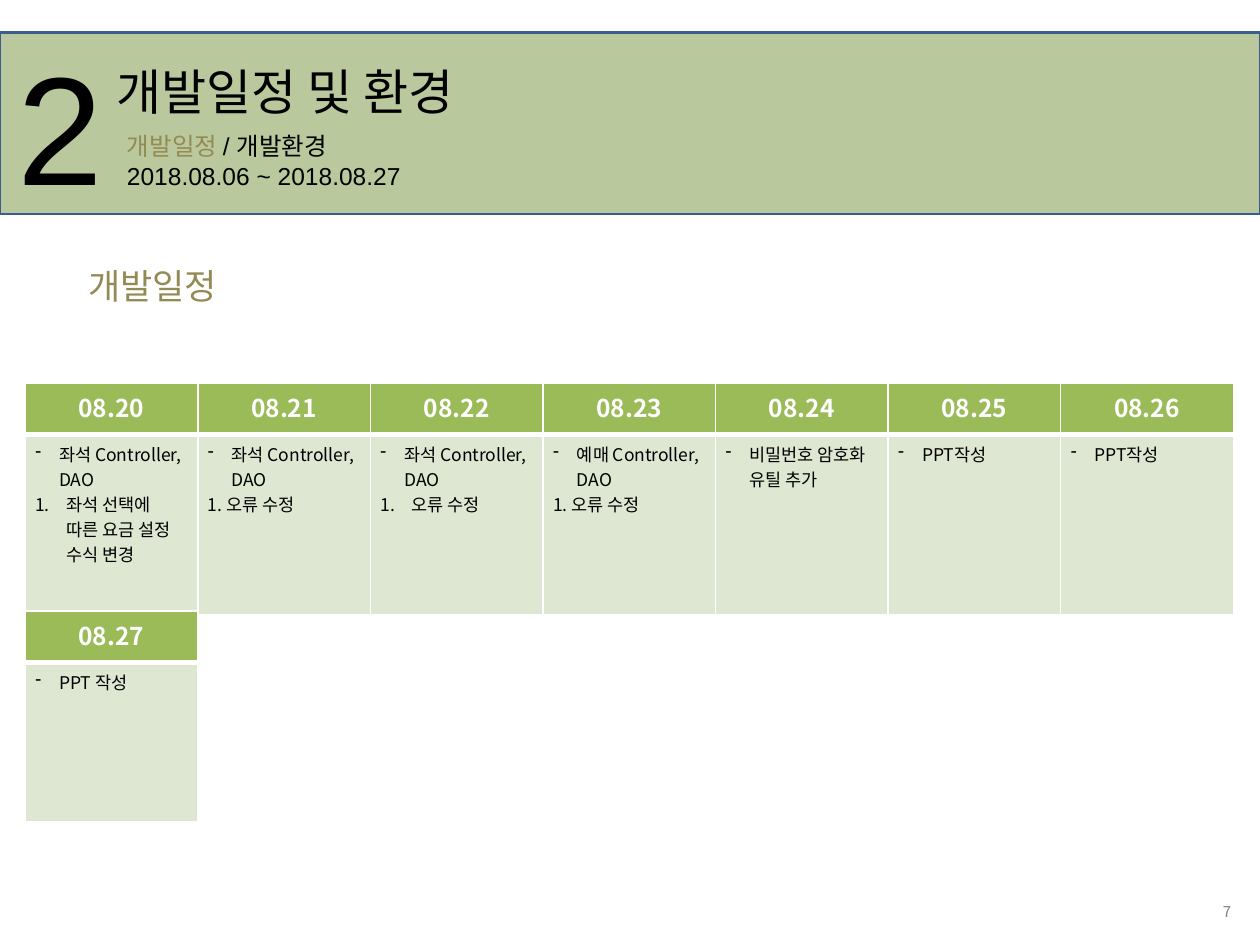
import dataclasses
import typing

import lxml.etree
import pptx
import pptx.dml.color
import pptx.enum.shapes
import pptx.enum.text
import pptx.oxml.ns
import pptx.util

Inches = pptx.util.Inches
Pt = pptx.util.Pt
Align = pptx.enum.text.PP_ALIGN
Anchor = pptx.enum.text.MSO_ANCHOR
qn = pptx.oxml.ns.qn

SANS = "Noto Sans CJK KR"
BLACK, WHITE, OLIVE = "000000", "FFFFFF", "948A54"
COL, HEAD = 1.37, 0.41


@dataclasses.dataclass
class Label:
    box: tuple[float, float, float, float]
    lines: list[list[tuple[str, str]]]
    size: float
    font: str = "Arial"
    align: typing.Any = Align.LEFT
    anchor: typing.Any = Anchor.TOP
    pitch: float | None = None
    fill: str | None = None
    wrap: bool = True


@dataclasses.dataclass
class Item:
    text: str
    mark: str = "-"


@dataclasses.dataclass
class Day:
    date: str
    items: list[Item]


@dataclasses.dataclass
class Plan:
    top: float
    body: float
    days: list[Day]


def color(code: str) -> pptx.dml.color.RGBColor:
    return pptx.dml.color.RGBColor.from_string(code)


def paint(shape: typing.Any, code: str) -> None:
    shape.fill.solid()
    shape.fill.fore_color.rgb = color(code)


def style(run: typing.Any, size: float, face: str, code: str, bold: bool = False) -> None:
    run.font.size = Pt(size)
    run.font.name = face
    run.font.bold = bold
    run.font.color.rgb = color(code)
    lxml.etree.SubElement(run.font._element, qn("a:ea"), typeface=SANS)


def write(slide: typing.Any, label: Label) -> None:
    box = slide.shapes.add_textbox(*map(Inches, label.box))
    if label.fill:
        paint(box, label.fill)
    frame = box.text_frame
    frame.word_wrap = label.wrap
    frame.vertical_anchor = label.anchor
    frame.text = "\n".join("" for _ in label.lines)
    for para, parts in zip(frame.paragraphs, label.lines):
        para.alignment = label.align
        if label.pitch:
            para.line_spacing = Pt(label.pitch)
        for text, code in parts:
            run = para.add_run()
            run.text = text
            style(run, label.size, label.font, code)


def band(slide: typing.Any) -> None:
    bar = slide.shapes.add_shape(
        pptx.enum.shapes.MSO_SHAPE.RECTANGLE, 0, Inches(0.26), Inches(10), Inches(1.44)
    )
    bar.shadow.inherit = False
    paint(bar, "77933C")
    tone = bar._element.spPr.find(qn("a:solidFill"))[0]
    lxml.etree.SubElement(tone, qn("a:alpha"), val="50000")
    bar.line.color.rgb = color("3A5F8C")
    bar.line.width = Pt(1.5)


def edge(cell: typing.Any, top: float, base: float) -> None:
    props = cell._tc.get_or_add_tcPr()
    for spot, (side, width) in enumerate(dict(L=1, R=1, T=top, B=base).items()):
        line = lxml.etree.Element(qn(f"a:ln{side}"), w=str(Pt(width)))
        fill = lxml.etree.SubElement(line, qn("a:solidFill"))
        lxml.etree.SubElement(fill, qn("a:srgbClr"), val=WHITE)
        props.insert(spot, line)


def bullet(para: typing.Any, mark: str) -> None:
    props = para._p.get_or_add_pPr()
    indent = Inches(0.19 if mark == "-" else 0.25)
    props.set("marL", str(indent))
    props.set("indent", str(-indent))
    if mark == "-":
        lxml.etree.SubElement(props, qn("a:buChar"), char=mark)
    else:
        lxml.etree.SubElement(props, qn("a:buAutoNum"), type="arabicPeriod")


def fill_day(head: typing.Any, body: typing.Any, day: Day) -> None:
    paint(head, "9BBB59")
    edge(head, 1, 3)
    head.text_frame.text = day.date
    para = head.text_frame.paragraphs[0]
    para.alignment = Align.CENTER
    style(para.runs[0], 14, SANS, WHITE, True)
    paint(body, "DEE7D1")
    edge(body, 3, 1)
    body.margin_left = Inches(0.08)
    body.text_frame.text = "\n".join(item.text for item in day.items)
    for para, item in zip(body.text_frame.paragraphs, day.items):
        if item.mark:
            bullet(para, item.mark)
        style(para.runs[0], 10, SANS, BLACK)


def draw(slide: typing.Any, plan: Plan) -> None:
    count = len(plan.days)
    grid = slide.shapes.add_table(
        2, count, Inches(0.2), Inches(plan.top),
        Inches(COL * count), Inches(HEAD + plan.body),
    ).table
    grid.first_row = grid.horz_banding = False
    grid.rows[0].height = Inches(HEAD)
    grid.rows[1].height = Inches(plan.body)
    for col, day in enumerate(plan.days):
        grid.columns[col].width = Inches(COL)
        fill_day(grid.cell(0, col), grid.cell(1, col), day)


SEAT = Item("좌석 Controller, DAO")
FIX = Item("1. 오류 수정", "")
SLIDES = Item("PPT작성")

LABELS = [
    Label((7.76, 7.1, 2.11, 0.27), [[("7", "808080")]], 8.5, SANS, Align.RIGHT, Anchor.MIDDLE),
    Label((0.83, 0.44, 4.49, 0.57), [[("개발일정 및 환경", BLACK)]], 28),
    Label((0.04, 0.2, 0.94, 1.58), [[("2", BLACK)]], 88),
    Label(
        (0.91, 0.99, 4.57, 0.58),
        [[("개발일정 ", OLIVE), ("/ 개발환경", BLACK)], [("2018.08.06 ~ 2018.08.27", BLACK)]],
        14, pitch=17,
    ),
    Label((0.6, 2.05, 1.32, 0.44), [[("개발일정", OLIVE)]], 20, fill=WHITE, wrap=False),
]

PLANS = [
    Plan(3.04, 1.43, [
        Day("08.20", [SEAT, Item("좌석 선택에 따른 요금 설정 수식 변경", "1.")]),
        Day("08.21", [SEAT, FIX]),
        Day("08.22", [SEAT, Item("오류 수정", "1.")]),
        Day("08.23", [Item("예매 Controller, DAO"), FIX]),
        Day("08.24", [Item("비밀번호 암호화 유틸 추가")]),
        Day("08.25", [SLIDES]),
        Day("08.26", [SLIDES]),
    ]),
    Plan(4.85, 1.26, [Day("08.27", [Item("PPT 작성")])]),
]


def main() -> None:
    deck = pptx.Presentation()
    deck.slide_width, deck.slide_height = Inches(10), Inches(7.5)
    slide = deck.slides.add_slide(deck.slide_layouts[6])
    band(slide)
    for label in LABELS:
        write(slide, label)
    for plan in PLANS:
        draw(slide, plan)
    deck.save("out.pptx")


if __name__ == "__main__":
    main()
